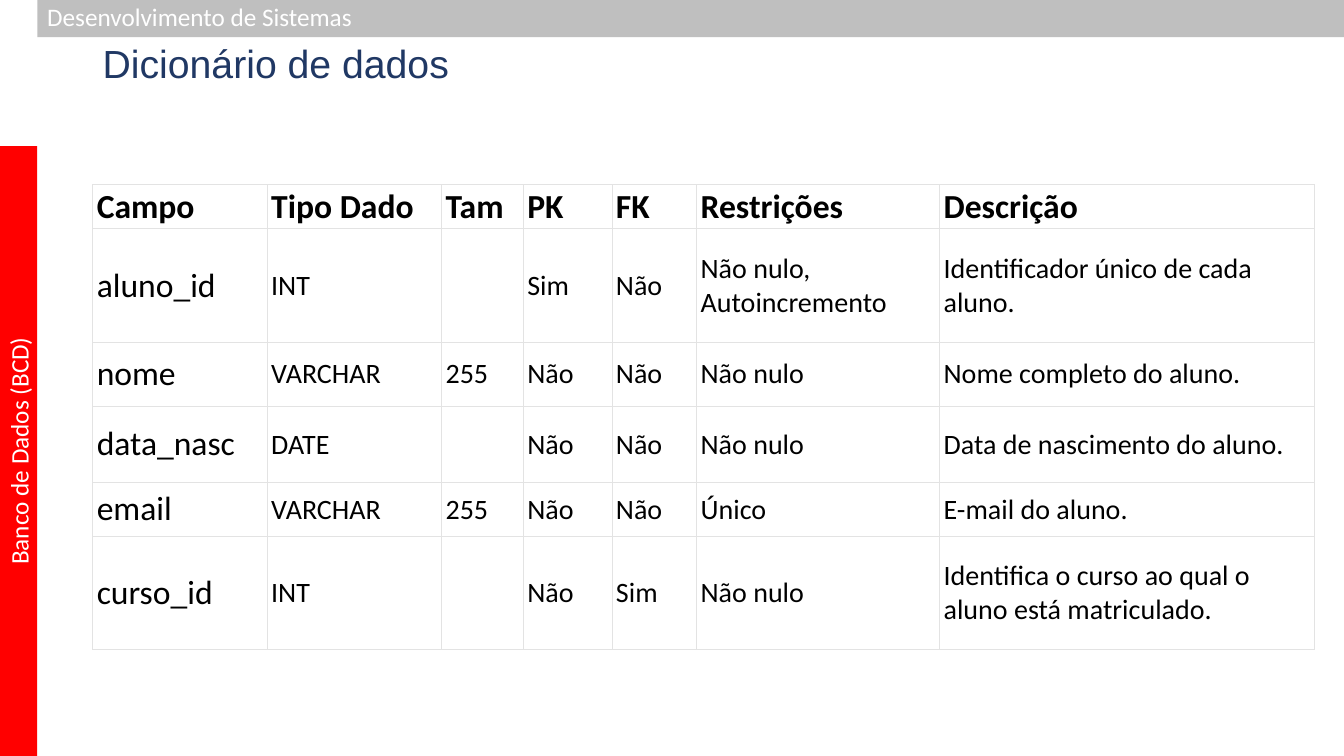
from dataclasses import dataclass

from lxml.etree import SubElement
from pptx import Presentation
from pptx.dml.color import RGBColor
from pptx.enum.shapes import MSO_SHAPE
from pptx.enum.text import MSO_ANCHOR, PP_ALIGN
from pptx.oxml.ns import qn
from pptx.util import Inches, Pt


@dataclass(frozen=True)
class Theme:
    white: str = "FFFFFF"
    black: str = "000000"
    red: str = "FF0000"
    gray: str = "BFBFBF"
    navy: str = "203864"
    rule: str = "E3E3E3"
    body: str = "Calibri"
    head: str = "Arial"
    small: int = 18
    cell: int = 20
    large: int = 24
    title: int = 28
    thin: float = 0.6
    thick: float = 1


def write(frame, text, size, font, color, bold=False,
          align=PP_ALIGN.LEFT, space=None):
    frame.word_wrap = True
    para = frame.paragraphs[0]
    para.alignment = align
    para.line_spacing = space
    run = para.add_run()
    run.text = text
    run.font.size = Pt(size)
    run.font.name = font
    run.font.bold = bold
    run.font.color.rgb = RGBColor.from_string(color)


class Deck:
    def __init__(self, theme):
        self.theme = theme
        self.show = Presentation()
        self.show.slide_width = Inches(13.33)
        self.show.slide_height = Inches(7.5)
        self.slide = self.show.slides.add_slide(self.show.slide_layouts[6])

    def bar(self, box, fill, text, turn=0, **style):
        shape = self.slide.shapes.add_shape(
            MSO_SHAPE.RECTANGLE, *map(Inches, box))
        shape.rotation = turn
        shape.shadow.inherit = False
        shape.fill.solid()
        shape.fill.fore_color.rgb = RGBColor.from_string(fill)
        shape.line.fill.background()
        shape.text_frame.vertical_anchor = MSO_ANCHOR.MIDDLE
        write(shape.text_frame, text, self.theme.small, self.theme.body,
              self.theme.white, **style)

    def title(self, box, text):
        frame = self.slide.shapes.add_textbox(*map(Inches, box)).text_frame
        frame.vertical_anchor = MSO_ANCHOR.MIDDLE
        write(frame, text, self.theme.title, self.theme.head,
              self.theme.navy, space=0.9)

    def edge(self, cell, side, width):
        line = SubElement(cell._tc.get_or_add_tcPr(), qn(f"a:ln{side}"),
                          w=str(Pt(width)))
        fill = SubElement(line, qn("a:solidFill"))
        SubElement(fill, qn("a:srgbClr"), val=self.theme.rule)

    def cell(self, cell, text, head, first, top, base):
        theme = self.theme
        cell.margin_left = cell.margin_right = Inches(0.04)
        cell.margin_top = cell.margin_bottom = Inches(0.02)
        cell.vertical_anchor = MSO_ANCHOR.BOTTOM if head else MSO_ANCHOR.MIDDLE
        for side, width in (("L", theme.thin), ("R", theme.thin),
                            ("T", top), ("B", base)):
            self.edge(cell, side, width)
        cell.fill.solid()
        cell.fill.fore_color.rgb = RGBColor.from_string(theme.white)
        if text:
            size = theme.large if head or first else theme.cell
            write(cell.text_frame, text, size, theme.body, theme.black,
                  bold=head)

    def table(self, left, top, wide, high, rows):
        table = self.slide.shapes.add_table(
            len(high), len(wide), Inches(left), Inches(top),
            Inches(sum(wide)), Inches(sum(high))).table
        table.first_row = table.horz_banding = False
        for col, width in zip(table.columns, wide):
            col.width = Inches(width)
        thin, thick = self.theme.thin, self.theme.thick
        last = len(rows) - 1
        for i, (row, height) in enumerate(zip(rows, high)):
            table.rows[i].height = Inches(height)
            for j, text in enumerate(row):
                self.cell(table.cell(i, j), text, i == 0, j == 0,
                          thick if i else thin, thick if i < last else thin)


def main():
    theme = Theme()
    deck = Deck(theme)
    deck.bar((-2.84, 4.29, 6.05, 0.37), theme.red, "Banco de Dados (BCD)",
             turn=270, align=PP_ALIGN.CENTER)
    deck.bar((0.37, 0, 12.96, 0.37), theme.gray,
             "Desenvolvimento de Sistemas", space=0.9)
    deck.title((0.92, 0.4, 11.5, 0.51), "Dicionário de dados")
    rows = [
        ("Campo", "Tipo Dado", "Tam", "PK", "FK", "Restrições", "Descrição"),
        ("aluno_id", "INT", "", "Sim", "Não", "Não nulo, Autoincremento",
         "Identificador único de cada aluno."),
        ("nome", "VARCHAR", "255", "Não", "Não", "Não nulo",
         "Nome completo do aluno."),
        ("data_nasc", "DATE", "", "Não", "Não", "Não nulo",
         "Data de nascimento do aluno."),
        ("email", "VARCHAR", "255", "Não", "Não", "Único",
         "E-mail do aluno."),
        ("curso_id", "INT", "", "Não", "Sim", "Não nulo",
         "Identifica o curso ao qual o aluno está matriculado."),
    ]
    deck.table(0.92, 1.83, (1.73, 1.73, 0.81, 0.88, 0.84, 2.41, 3.72),
               (0.43, 1.13, 0.63, 0.76, 0.53, 1.12), rows)
    deck.show.save("out.pptx")


if __name__ == "__main__":
    main()
